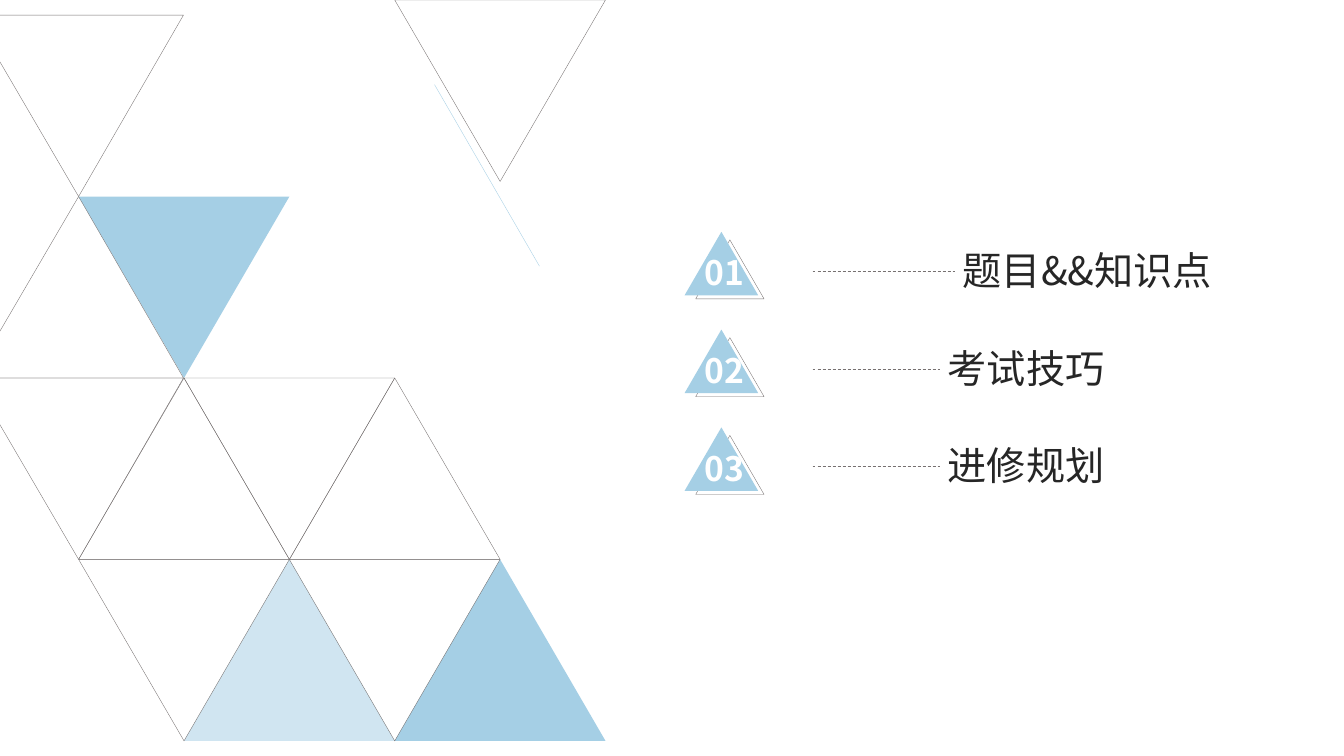
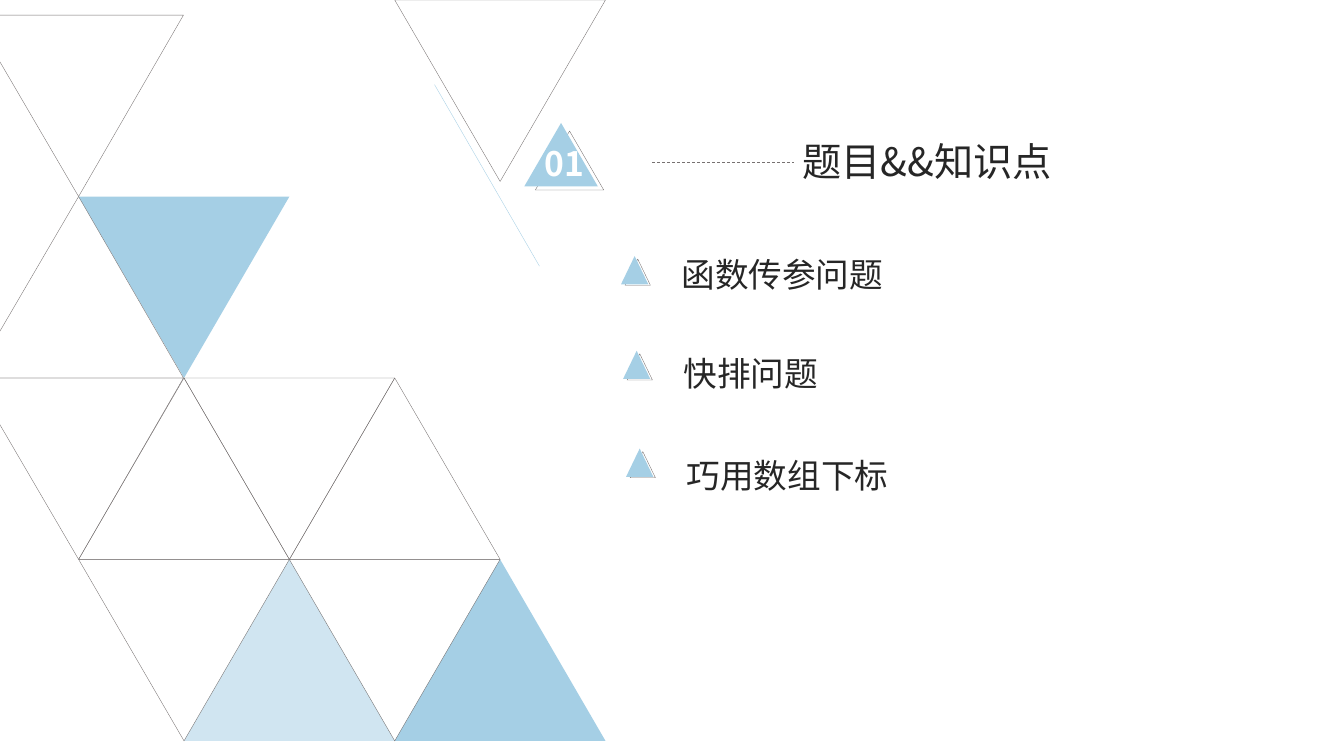
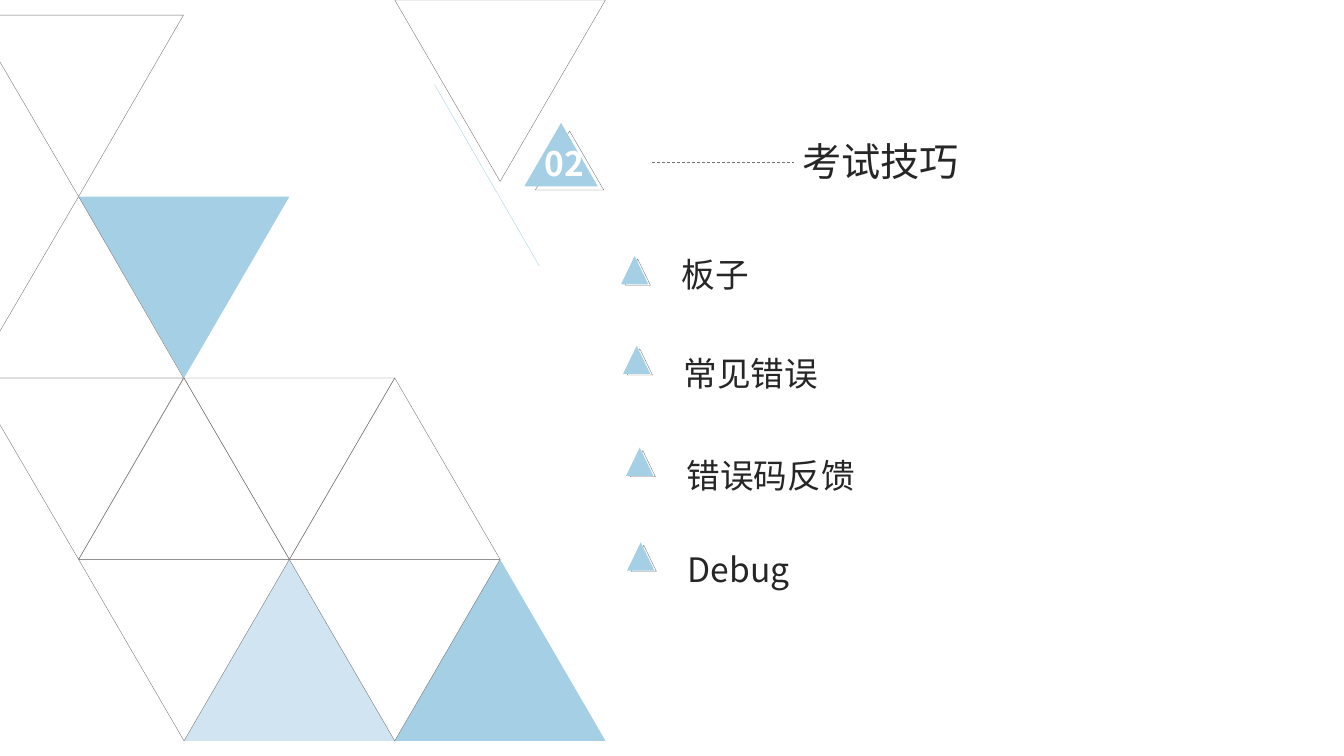
import lxml.etree
import pptx
import pptx.dml.color
import pptx.enum.dml
import pptx.enum.shapes
import pptx.enum.text
import pptx.oxml.ns
import pptx.util

Inches = pptx.util.Inches
Pt = pptx.util.Pt

COLORS = {"blue": "A5CFE5", "gray": "767171", "ink": "262626", "white": "FFFFFF"}
FONT = "Noto Sans CJK SC"

GRID_LEFT, GRID_TOP = 0.78, 0.15
HALF_SIDE, ROW_HEIGHT = 1.045, 1.8
EDGE = -0.02

OUTLINED_CELLS = [(1, 2, True), (0, 2, False), (2, 3, True), (0, 3, True), (2, 2, False)]
FILLED_CELLS = [(1, 3, False, 52), (3, 3, False, None), (0, 1, True, None)]
CUT_TRIANGLES = [
    [(1.82, 3.75), (EDGE, 3.75), (EDGE, 4.18), (0.78, 5.55)],
    [(0.78, 1.95), (EDGE, 3.32), (EDGE, 3.75), (1.82, 3.75)],
    [(1.82, 0.15), (EDGE, 0.15), (EDGE, 0.58), (0.78, 1.95)],
]

AGENDA = [("01", "题目&&知识点", 1.41), ("02", "考试技巧", 1.26), ("03", "进修规划", 1.26)]
AGENDA_STEP = 0.97
TOPIC_PLACES = [(6.76, 2.44), (6.78, 3.42), (6.81, 4.43), (6.82, 5.37)]
SECTIONS = [
    ("01", "题目&&知识点",
     [("函数传参问题", 2.54), ("快排问题", 3.48), ("巧用数组下标", 4.45)]),
    ("02", "考试技巧",
     [("板子", 2.54), ("常见错误", 3.43), ("错误码反馈", 4.44), ("Debug", 5.38)]),
]


def rgb(name):
    return pptx.dml.color.RGBColor.from_string(COLORS[name])


def add_element(parent, tag, **attributes):
    return lxml.etree.SubElement(parent, pptx.oxml.ns.qn(tag), **attributes)


def style_shape(shape, fill=None, opacity=None):
    shape.shadow.inherit = False
    if fill:
        shape.fill.solid()
        shape.fill.fore_color.rgb = rgb(fill)
        shape.line.fill.background()
    else:
        shape.fill.background()
        shape.line.color.rgb = rgb("gray")
        shape.line.width = Pt(0.25)
    if opacity:
        color = shape.fill._xPr.find(".//" + pptx.oxml.ns.qn("a:srgbClr"))
        add_element(color, "a:alpha", val=str(opacity * 1000))


def add_triangle(shapes, left, top, width, height, fill=None, down=False, opacity=None):
    triangle = shapes.add_shape(
        pptx.enum.shapes.MSO_SHAPE.ISOSCELES_TRIANGLE,
        Inches(left), Inches(top), Inches(width), Inches(height))
    triangle.rotation = 180 if down else 0
    style_shape(triangle, fill, opacity)


def add_cell(shapes, column, row, down, fill=None, opacity=None):
    add_triangle(shapes, GRID_LEFT + column * HALF_SIDE, GRID_TOP + row * ROW_HEIGHT,
                 2 * HALF_SIDE, ROW_HEIGHT, fill, down, opacity)


def add_outline(shapes, points):
    corners = [(Inches(x), Inches(y)) for x, y in points]
    builder = shapes.build_freeform(*corners[0])
    builder.add_line_segments(corners[1:], close=True)
    style_shape(builder.convert_to_shape())


def add_line(shapes, start, end, color, width, dashed=False):
    line = shapes.add_connector(
        pptx.enum.shapes.MSO_CONNECTOR.STRAIGHT,
        Inches(start[0]), Inches(start[1]), Inches(end[0]), Inches(end[1]))
    line.line.color.rgb = rgb(color)
    line.line.width = Pt(width)
    if dashed:
        line.line.dash_style = pptx.enum.dml.MSO_LINE.DASH
    add_element(line._element.spPr, "a:effectLst")


def add_text(shapes, text, left, top, width, height, size, color="ink", bold=False, inset=True):
    box = shapes.add_textbox(Inches(left), Inches(top), Inches(width), Inches(height))
    frame = box.text_frame
    frame.word_wrap = True
    if not inset:
        frame.margin_left = frame.margin_right = frame.margin_top = frame.margin_bottom = 0
    run = frame.paragraphs[0].add_run()
    run.text = text
    run.font.size = Pt(size)
    run.font.bold = bold
    run.font.color.rgb = rgb(color)
    run.font.name = FONT
    add_element(run._r.get_or_add_rPr(), "a:ea", typeface=FONT)
    return frame


def add_marker(slide, left, top, width, height, shift_x, shift_y):
    shapes = slide.shapes.add_group_shape().shapes
    add_triangle(shapes, left + shift_x, top + shift_y, width * 0.93, height * 0.93)
    add_triangle(shapes, left, top, width, height, "blue")


def add_heading(slide, left, top, number, title, dash_length):
    add_marker(slide, left, top, 0.73, 0.63, 0.11, 0.08)
    label = add_text(slide.shapes, number, left + 0.1, top + 0.15, 0.68, 0.5, 24, "white", bold=True)
    label.auto_size = pptx.enum.text.MSO_AUTO_SIZE.SHAPE_TO_FIT_TEXT
    dash_left, dash_top = left + 1.27, top + 0.39
    dash_right = dash_left + dash_length
    add_line(slide.shapes, (dash_left, dash_top), (dash_right, dash_top), "gray", 0.5, dashed=True)
    frame = add_text(slide.shapes, title, dash_right + 0.08, top + 0.12, 2.7, 0.51, 28, inset=False)
    frame.vertical_anchor = pptx.enum.text.MSO_ANCHOR.MIDDLE
    frame.paragraphs[0].alignment = pptx.enum.text.PP_ALIGN.JUSTIFY


def add_topic(slide, text, left, top, marker_top):
    add_marker(slide, left - 0.6, marker_top, 0.27, 0.28, 0.04, 0.03)
    frame = add_text(slide.shapes, text, left, top, 3.85, 0.44, 24, inset=False)
    frame.auto_size = pptx.enum.text.MSO_AUTO_SIZE.SHAPE_TO_FIT_TEXT
    frame.paragraphs[0].line_spacing = 1.2
    frame.paragraphs[0].space_before = Pt(4.8)


def add_triangle_pattern(slide):
    shapes = slide.shapes.add_group_shape().shapes
    for column, row, down, opacity in FILLED_CELLS:
        add_cell(shapes, column, row, down, "blue", opacity)
    for column, row, down in OUTLINED_CELLS:
        add_cell(shapes, column, row, down)
    add_triangle(shapes, GRID_LEFT + 3 * HALF_SIDE, 0, 2 * HALF_SIDE, ROW_HEIGHT, down=True)
    for points in CUT_TRIANGLES:
        add_outline(shapes, points)
    add_line(shapes, (4.31, 0.84), (5.35, 2.64), "blue", 0.25)


def add_patterned_slide(presentation):
    slide = presentation.slides.add_slide(presentation.slide_layouts[6])
    add_triangle_pattern(slide)
    return slide


def add_agenda_slide(presentation):
    slide = add_patterned_slide(presentation)
    for index, (number, title, dash_length) in enumerate(AGENDA):
        add_heading(slide, 6.79, 2.3 + index * AGENDA_STEP, number, title, dash_length)


def add_section_slide(presentation, number, title, topics):
    slide = add_patterned_slide(presentation)
    add_heading(slide, 5.2, 1.22, number, title, 1.41)
    for (text, marker_top), (left, top) in zip(topics, TOPIC_PLACES):
        add_topic(slide, text, left, top, marker_top)


def main():
    presentation = pptx.Presentation()
    presentation.slide_width = Inches(13.33)
    presentation.slide_height = Inches(7.5)
    add_agenda_slide(presentation)
    for number, title, topics in SECTIONS:
        add_section_slide(presentation, number, title, topics)
    presentation.save("out.pptx")


if __name__ == "__main__":
    main()
